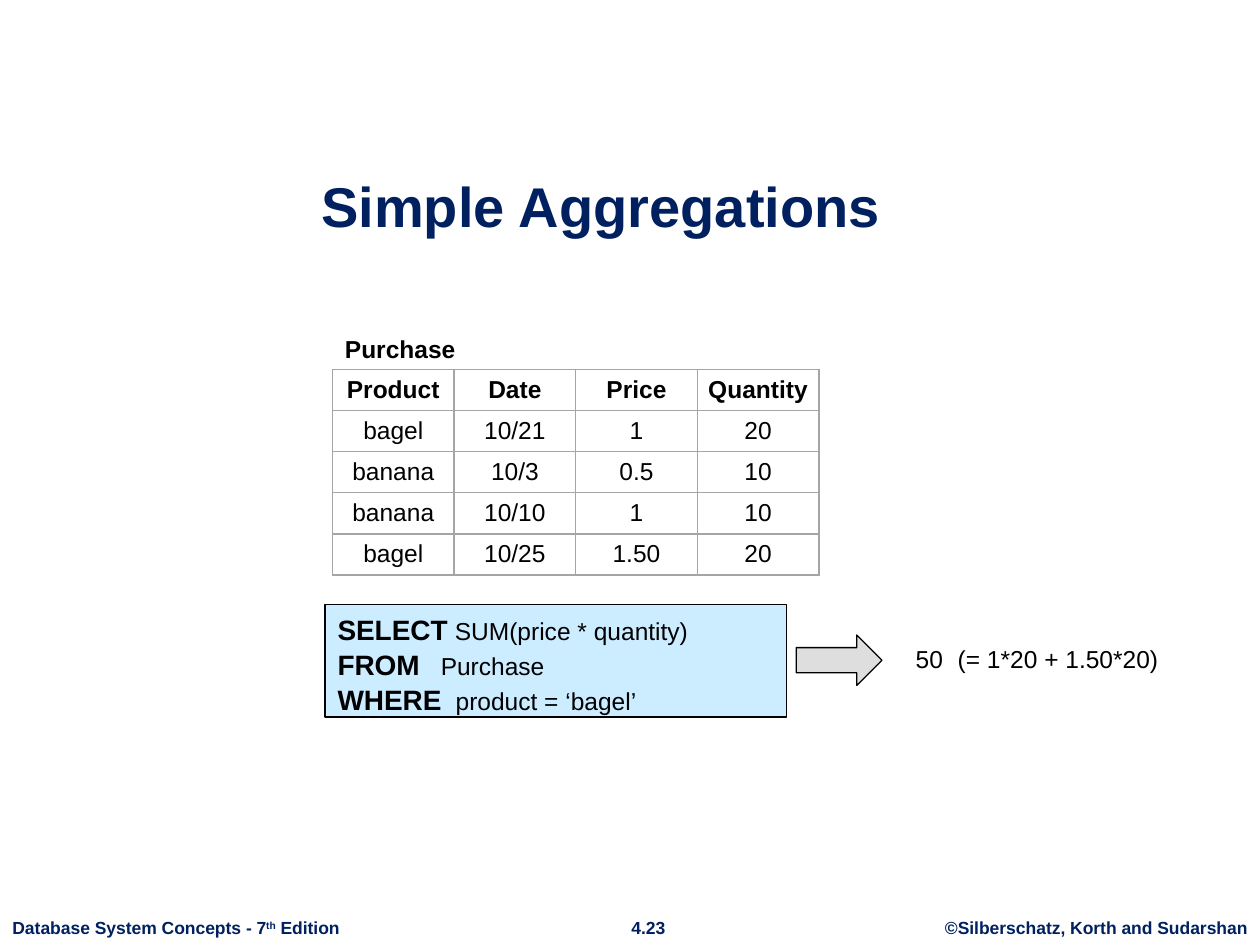
from dataclasses import dataclass

from lxml import etree
from pptx import Presentation
from pptx.dml.color import RGBColor
from pptx.enum.shapes import MSO_SHAPE
from pptx.enum.text import MSO_ANCHOR, MSO_AUTO_SIZE, PP_ALIGN
from pptx.oxml.ns import qn
from pptx.util import Pt

LEFT, CENTER = PP_ALIGN.LEFT, PP_ALIGN.CENTER
TOP, MIDDLE = MSO_ANCHOR.TOP, MSO_ANCHOR.MIDDLE
NO_AUTOFIT = MSO_AUTO_SIZE.NONE
RECTANGLE, RIGHT_ARROW = MSO_SHAPE.RECTANGLE, MSO_SHAPE.RIGHT_ARROW
TITLE_ONLY = 5

COLORS = {
    "navy": "002060",
    "gray": "666666",
    "black": "000000",
    "border": "A5A5A5",
    "query": "CCECFF",
    "arrow": "BFBFBF",
}


@dataclass
class Run:
    text: str
    size: float = 14
    bold: bool = False
    color: str = "black"
    font: str = "Arial"
    superscript: bool = False


@dataclass
class Line:
    runs: list[Run]
    align: PP_ALIGN = LEFT
    tab: float = 0
    spacing: float = 1.0


@dataclass
class Box:
    left: float
    top: float
    width: float
    height: float

    def lengths(self) -> list:
        return [Pt(value) for value in (self.left, self.top, self.width, self.height)]


@dataclass
class Label:
    box: Box
    line: Line
    wrap: bool = True


def rgb(name: str) -> RGBColor:
    return RGBColor.from_string(COLORS[name])


def write_line(paragraph, line: Line) -> None:
    paragraph.alignment = line.align
    paragraph.line_spacing = line.spacing
    if line.tab:
        tab_list = etree.SubElement(paragraph._p.get_or_add_pPr(), qn("a:tabLst"))
        etree.SubElement(tab_list, qn("a:tab"), pos=str(Pt(line.tab)), algn="l")
    for part in line.runs:
        run = paragraph.add_run()
        run.text = part.text
        formats = {"size": Pt(part.size), "bold": part.bold, "name": part.font}
        for name, value in formats.items():
            setattr(run.font, name, value)
        run.font.color.rgb = rgb(part.color)
        if part.superscript:
            run.font._element.set("baseline", "30000")


def write_frame(frame, lines: list[Line], **formats) -> None:
    settings = {
        "word_wrap": True,
        "auto_size": NO_AUTOFIT,
        "vertical_anchor": TOP,
        "margin_left": Pt(7.2),
        "margin_right": Pt(7.2),
        "margin_top": Pt(3.6),
        "margin_bottom": Pt(3.6),
    } | formats
    for name, value in settings.items():
        setattr(frame, name, value)
    for index, line in enumerate(lines):
        paragraph = frame.add_paragraph() if index else frame.paragraphs[0]
        write_line(paragraph, line)


def add_label(slide, label: Label) -> None:
    shape = slide.shapes.add_textbox(*label.box.lengths())
    write_frame(shape.text_frame, [label.line], word_wrap=label.wrap)


def add_outlined_shape(slide, kind: MSO_SHAPE, box: Box, color: str):
    shape = slide.shapes.add_shape(kind, *box.lengths())
    shape.shadow.inherit = False
    shape.fill.solid()
    shape.fill.fore_color.rgb = rgb(color)
    shape.line.color.rgb = rgb("black")
    shape.line.width = Pt(0.75)
    return shape


def add_cell_borders(cell) -> None:
    properties = cell._tc.get_or_add_tcPr()
    for index, side in enumerate(("lnL", "lnR", "lnT", "lnB")):
        border = etree.Element(qn(f"a:{side}"), w=str(Pt(1)))
        fill = etree.SubElement(border, qn("a:solidFill"))
        etree.SubElement(fill, qn("a:srgbClr"), val=COLORS["border"])
        properties.insert(index, border)


def add_purchase_table(slide, box: Box, rows: list[tuple]) -> None:
    table = slide.shapes.add_table(len(rows), len(rows[0]), *box.lengths()).table
    table.first_row = False
    table.horz_banding = False
    for row in table.rows:
        row.height = Pt(box.height / len(rows))
    for column in table.columns:
        column.width = Pt(box.width / len(rows[0]))
    formats = {
        "vertical_anchor": MIDDLE,
        "margin_left": Pt(4.3),
        "margin_right": Pt(4.3),
        "margin_top": Pt(2.2),
        "margin_bottom": Pt(2.2),
    }
    for row_index, values in enumerate(rows):
        for column_index, value in enumerate(values):
            cell = table.cell(row_index, column_index)
            for name, setting in formats.items():
                setattr(cell, name, setting)
            cell.fill.background()
            add_cell_borders(cell)
            run = Run(value, bold=row_index == 0)
            write_line(cell.text_frame.paragraphs[0], Line([run], CENTER))


def footer(text: str, superscript: bool = False) -> Run:
    return Run(text, 10, True, "navy", superscript=superscript)


PURCHASES = [
    ("Product", "Date", "Price", "Quantity"),
    ("bagel", "10/21", "1", "20"),
    ("banana", "10/3", "0.5", "10"),
    ("banana", "10/10", "1", "10"),
    ("bagel", "10/25", "1.50", "20"),
]
QUERY = [
    ("SELECT", "SUM(price * quantity)", 67),
    ("FROM", "Purchase", 59),
    ("WHERE", "product = ‘bagel’", 67.5),
]
EDITION = [
    footer("Database System Concepts - 7"),
    footer("th", superscript=True),
    footer(" Edition"),
]
LABELS = [
    Label(Box(532.8, 520.6, 187.2, 19.4),
          Line([footer("©Silberschatz, Korth and Sudarshan")], CENTER), False),
    Label(Box(352.8, 520.6, 35.3, 19.4), Line([footer("4.23")], CENTER), False),
    Label(Box(0, 520.6, 202.3, 19.4), Line(EDITION), False),
    Label(Box(190, 187.2, 77.8, 24.5), Line([Run("Purchase", bold=True)])),
    Label(Box(516.2, 364.3, 153.4, 24.5),
          Line([Run("50\t(= 1*20 + 1.50*20)")], tab=24)),
]

presentation = Presentation()
presentation.slide_width = Pt(720)
presentation.slide_height = Pt(540)
slide = presentation.slides.add_slide(presentation.slide_layouts[TITLE_ONLY])

title = slide.shapes.title
title.left, title.top, title.width, title.height = Box(176.4, 87.8, 339.8, 64.1).lengths()
title_runs = [
    Run("Simple", 32, True, "navy"),
    Run(" ", 28, True, "gray", "Montserrat"),
    Run("Aggregations", 32, True, "navy"),
]
write_frame(title.text_frame, [Line(title_runs)], margin_top=Pt(10))

for label in LABELS:
    add_label(slide, label)
add_purchase_table(slide, Box(190, 211, 278, 117.5), PURCHASES)

arrow = add_outlined_shape(slide, RIGHT_ARROW, Box(455, 362.9, 49, 28.8), "arrow")
arrow_color = arrow.fill._xPr.find(qn("a:solidFill"))[0]
etree.SubElement(arrow_color, qn("a:alpha"), val="50000")

query_box = add_outlined_shape(slide, RECTANGLE, Box(185.8, 345.6, 263.5, 64.1), "query")
query_lines = [
    Line([Run(keyword, 16, True), Run(f"\t{clause}")], tab=tab, spacing=1.04)
    for keyword, clause, tab in QUERY
]
write_frame(query_box.text_frame, query_lines)

presentation.save("out.pptx")
